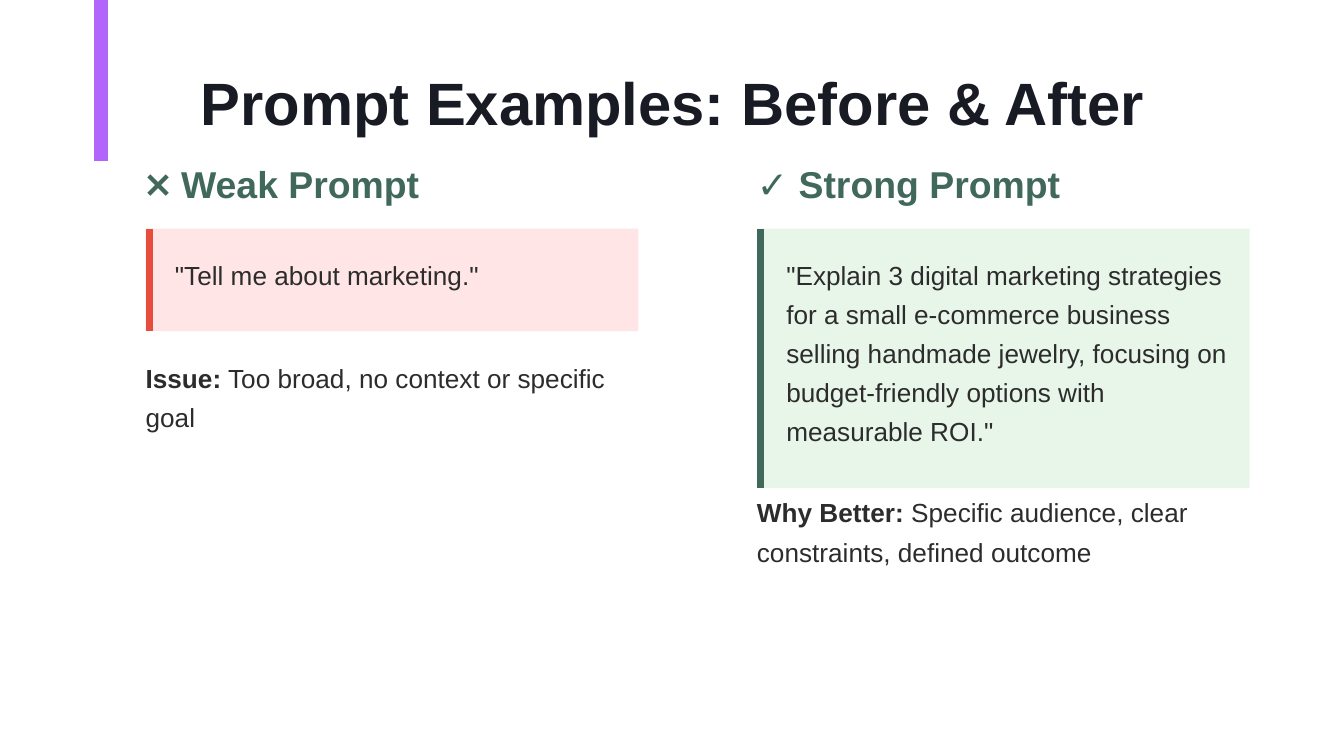
from pptx import Presentation
from pptx.dml.color import RGBColor
from pptx.enum import shapes, text
from pptx.oxml.ns import qn
from pptx.util import Pt

TITLE = "Prompt Examples: Before & After"
COLUMNS = [
    {
        "left": 78,
        "heading": "❌ Weak Prompt",
        "quote": '"Tell me about marketing."',
        "lines": 1,
        "label": "Issue:",
        "remark": " Too broad, no context or specific goal",
        "gap": 12.5,
        "fill": "weak_fill",
        "bar": "weak_bar",
    },
    {
        "left": 405.5,
        "heading": "✓ Strong Prompt",
        "quote": '"Explain 3 digital marketing strategies for a small e-commerce business '
                 'selling handmade jewelry, focusing on budget-friendly options with '
                 'measurable ROI."',
        "lines": 5,
        "label": "Why Better:",
        "remark": " Specific audience, clear constraints, defined outcome",
        "gap": 0.5,
        "fill": "strong_fill",
        "bar": "green",
    },
]

THEME = {
    "font": "Arial",
    "title_size": 32,
    "heading_size": 20,
    "body_size": 14,
    "white": "FFFFFF",
    "purple": "B165FB",
    "ink": "181B24",
    "body": "2C2C2C",
    "green": "40695B",
    "weak_fill": "FFE5E5",
    "weak_bar": "E74C3C",
    "strong_fill": "E8F5E9",
}
HEADING_TOP, CARD_TOP = 86.5, 122.5
COLUMN_WIDTH, CARD_WIDTH, QUOTE_WIDTH = 270, 264, 241
LINE_HEIGHT, CARD_PADDING = 21, 34
BAR_WIDTH = 3.75


def color(name):
    return RGBColor.from_string(THEME[name])


def add_text(page, spans, *, left, top, width, height, size, ink, leading=None, after=0):
    box = page.shapes.add_textbox(Pt(left), Pt(top), Pt(width), Pt(height))
    frame = box.text_frame
    frame.word_wrap = True
    frame.vertical_anchor = text.MSO_ANCHOR.TOP
    frame.margin_left = frame.margin_right = frame.margin_top = frame.margin_bottom = 0
    para = frame.paragraphs[0]
    para.space_after = Pt(after)
    if leading:
        para.line_spacing = Pt(leading)
    for words, bold in spans:
        span = para.add_run()
        span.text = words
        span.font.name = THEME["font"]
        span.font.size = Pt(THEME[size])
        span.font.bold = bold
        span.font.color.rgb = color(ink)


def add_bar(page, x, top, bottom, ink, width):
    bar = page.shapes.add_connector(
        shapes.MSO_CONNECTOR.STRAIGHT, Pt(x), Pt(top), Pt(x), Pt(bottom))
    bar.line.color.rgb = color(ink)
    bar.line.width = Pt(width)
    properties = bar._element.spPr
    properties.append(properties.makeelement(qn("a:effectLst"), {}))


def add_card(page, left, height, fill):
    card = page.shapes.add_shape(
        shapes.MSO_SHAPE.RECTANGLE, Pt(left), Pt(CARD_TOP), Pt(CARD_WIDTH), Pt(height))
    card.shadow.inherit = False
    card.fill.solid()
    card.fill.fore_color.rgb = color(fill)
    card.line.fill.background()


def add_column(page, column):
    left = column["left"]
    quote_height = LINE_HEIGHT * column["lines"]
    card_height = quote_height + CARD_PADDING
    card_bottom = CARD_TOP + card_height
    body = {"size": "body_size", "ink": "body", "leading": LINE_HEIGHT, "after": 10}

    add_text(page, [(column["heading"], True)], left=left, top=HEADING_TOP,
             width=COLUMN_WIDTH, height=24, size="heading_size", ink="green", after=12)
    add_card(page, left, card_height, column["fill"])
    add_bar(page, left + BAR_WIDTH / 2, CARD_TOP, card_bottom, column["bar"], BAR_WIDTH)
    add_text(page, [(column["quote"], False)], left=left + 15.75, top=CARD_TOP + 12,
             width=QUOTE_WIDTH, height=quote_height, **body)
    add_text(page, [(column["label"], True), (column["remark"], False)], left=left,
             top=card_bottom + column["gap"], width=COLUMN_WIDTH,
             height=2 * LINE_HEIGHT, **body)


def main():
    deck = Presentation()
    deck.slide_width, deck.slide_height = Pt(720), Pt(405)
    page = deck.slides.add_slide(deck.slide_layouts[6])
    page.background.fill.solid()
    page.background.fill.fore_color.rgb = color("white")

    add_bar(page, 54, 0, 86.5, "purple", 2 * BAR_WIDTH)
    add_text(page, [(TITLE, True)], left=107.5, top=35.5, width=574, height=37,
             size="title_size", ink="ink")
    for column in COLUMNS:
        add_column(page, column)
    deck.save("out.pptx")


if __name__ == "__main__":
    main()
